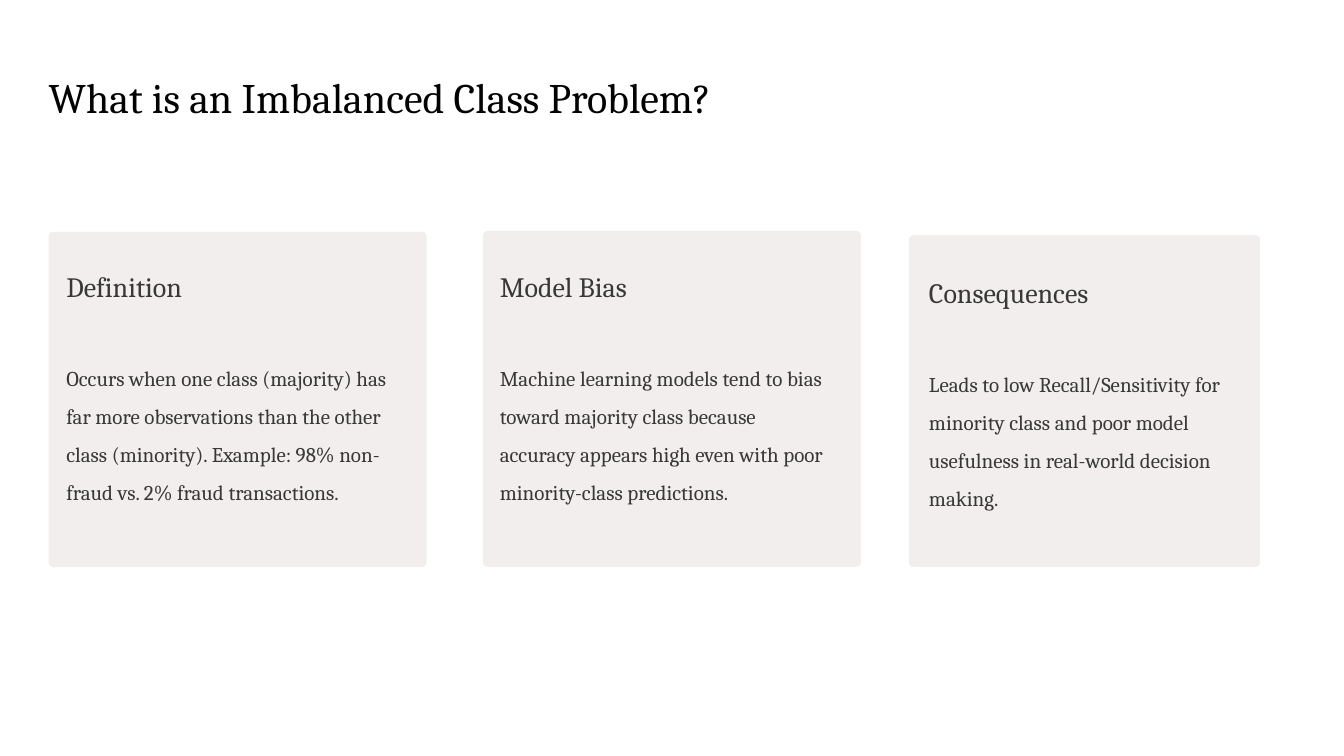
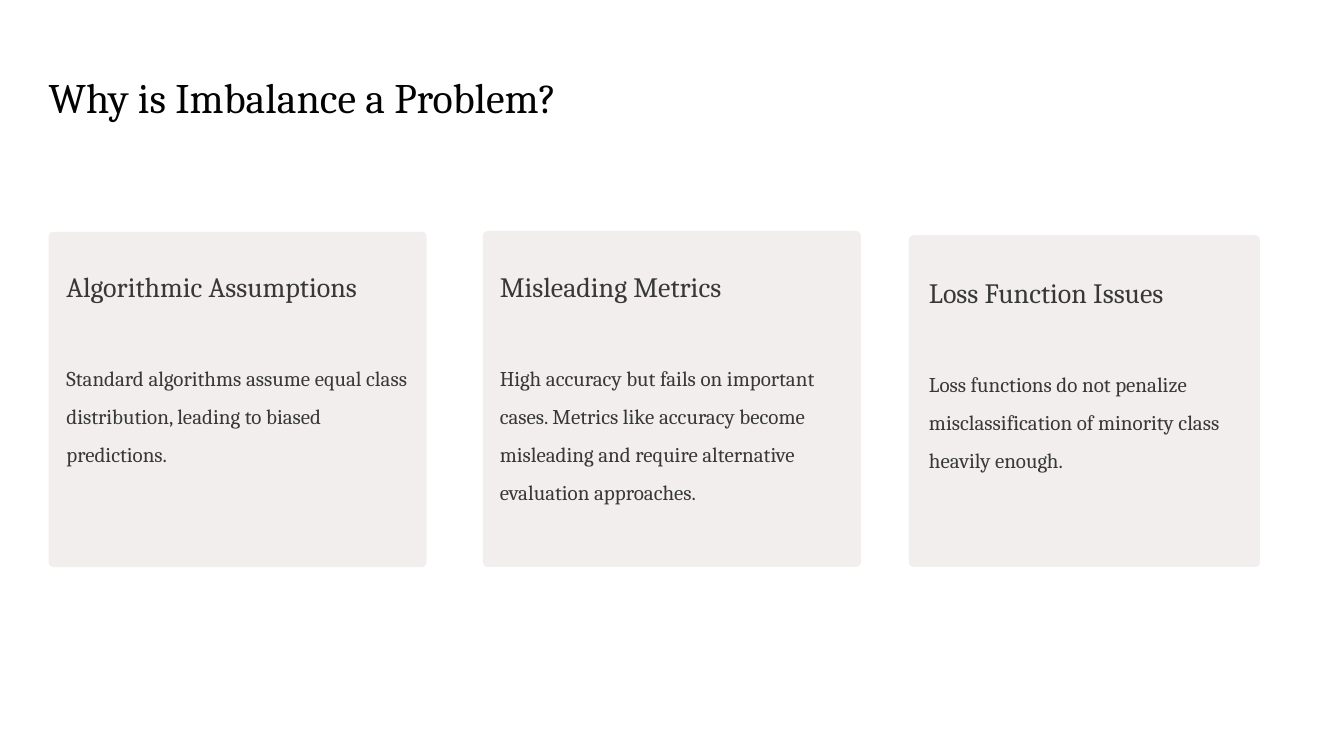
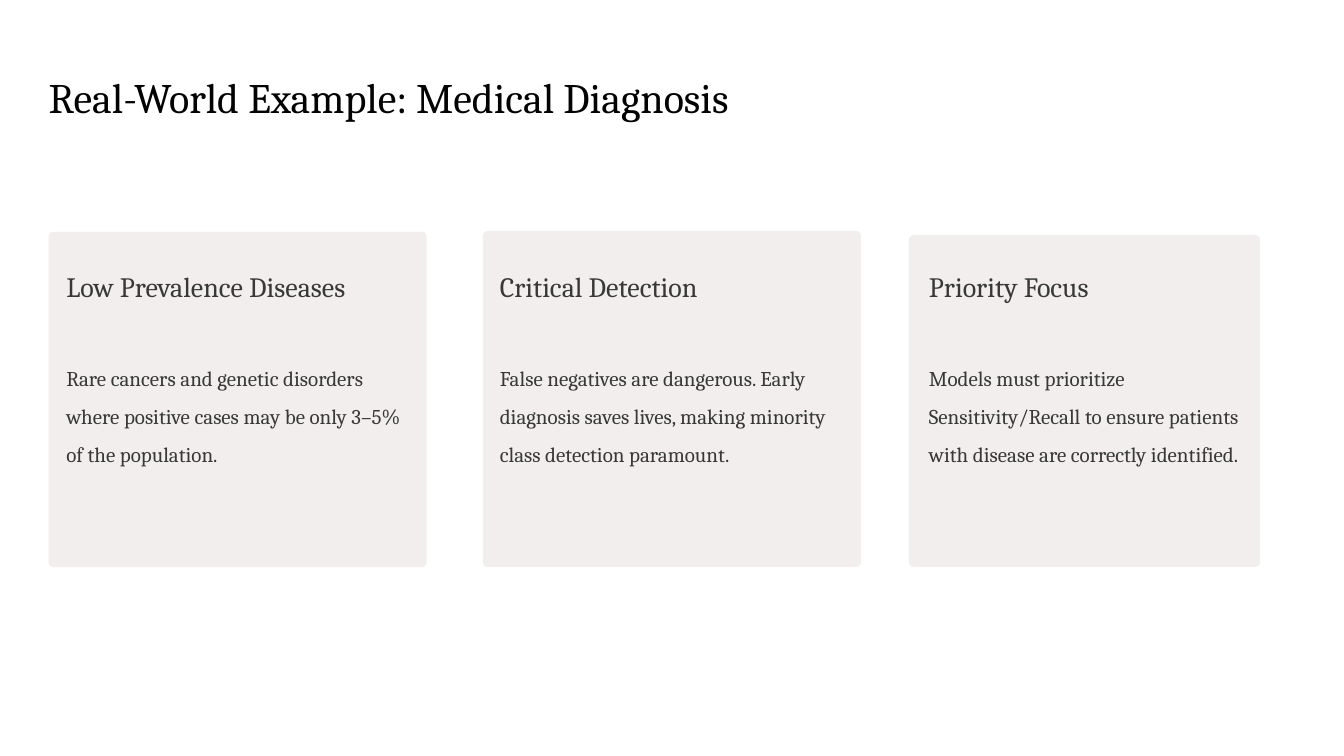
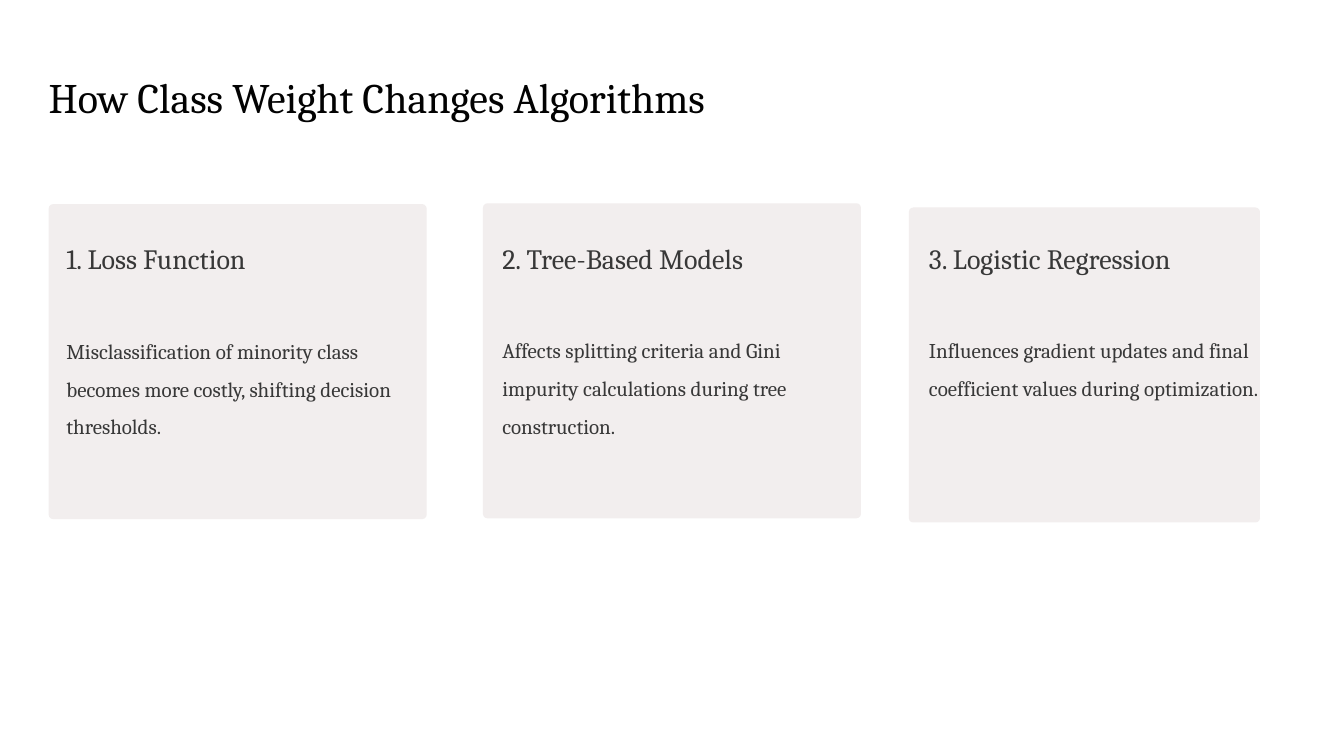
from dataclasses import dataclass

from pptx import Presentation
from pptx.dml.color import RGBColor
from pptx.enum import shapes, text
from pptx.util import Inches, Pt


@dataclass(frozen=True)
class Theme:
    font: str = "Cambria"
    title_color: RGBColor = RGBColor(0x02, 0x02, 0x02)
    text_color: RGBColor = RGBColor(0x38, 0x38, 0x38)
    card_fill: RGBColor = RGBColor(0xF2, 0xEE, 0xEE)
    title_size: int = 36
    heading_size: int = 24
    body_size: int = 18
    title_leading: int = 51
    card_leading: float = 1.5
    body_gap: int = 43
    corner: float = 0.014


@dataclass(frozen=True)
class Column:
    left: float
    top: float
    width: float
    text_left: float
    text_top: float
    text_width: float
    text_height: float


@dataclass(frozen=True)
class Card:
    heading: str
    body: str
    nudge_x: float = 0
    nudge_y: float = 0


@dataclass(frozen=True)
class Topic:
    title: str
    cards: tuple
    lift: float = 0
    card_height: float = 0  # 0 lets the cards reach CARD_BOTTOM


THEME = Theme()
CARD_BOTTOM = 6.75
COLUMNS = (
    Column(0.58, 2.76, 4.5, 0.79, 3.01, 4.06, 2.71),
    Column(5.75, 2.75, 4.5, 5.95, 3.01, 3.94, 5.32),
    Column(10.82, 2.8, 4.18, 11.06, 3.08, 3.94, 2.53),
)

TOPICS = (
    Topic("What is an Imbalanced Class Problem?", (
        Card("Definition",
             "Occurs when one class (majority) has far more observations than the other "
             "class (minority). Example: 98% non-fraud vs. 2% fraud transactions."),
        Card("Model Bias",
             "Machine learning models tend to bias toward majority class because accuracy "
             "appears high even with poor minority-class predictions."),
        Card("Consequences",
             "Leads to low Recall/Sensitivity for minority class and poor model usefulness "
             "in real-world decision making."),
    )),
    Topic("Why is Imbalance a Problem?", (
        Card("Algorithmic Assumptions",
             "Standard algorithms assume equal class distribution, leading to biased "
             "predictions."),
        Card("Misleading Metrics",
             "High accuracy but fails on important cases. Metrics like accuracy become "
             "misleading and require alternative evaluation approaches."),
        Card("Loss Function Issues",
             "Loss functions do not penalize misclassification of minority class heavily "
             "enough."),
    )),
    Topic("Real-World Example: Medical Diagnosis", (
        Card("Low Prevalence Diseases",
             "Rare cancers and genetic disorders where positive cases may be only 3–5% of "
             "the population."),
        Card("Critical Detection",
             "False negatives are dangerous. Early diagnosis saves lives, making minority "
             "class detection paramount."),
        Card("Priority Focus",
             "Models must prioritize Sensitivity/Recall to ensure patients with disease are "
             "correctly identified.", nudge_y=-0.07),
    )),
    Topic("How Class Weight Changes Algorithms", (
        Card("1. Loss Function",
             "Misclassification of minority class becomes more costly, shifting decision "
             "thresholds."),
        Card("2. Tree-Based Models",
             "Affects splitting criteria and Gini impurity calculations during tree "
             "construction.", nudge_x=0.03, nudge_y=-0.01),
        Card("3. Logistic Regression",
             "Influences gradient updates and final coefficient values during optimization.",
             nudge_y=-0.08),
    ), lift=0.33, card_height=3.75),
)


def add_text_frame(slide, left, top, width, height, inset_top=0):
    box = slide.shapes.add_textbox(*map(Inches, (left, top, width, height)))
    frame = box.text_frame
    frame.word_wrap = True
    frame.vertical_anchor = text.MSO_ANCHOR.TOP
    frame.margin_left = frame.margin_right = frame.margin_bottom = 0
    frame.margin_top = Inches(inset_top)
    return frame


def write(paragraph, wording, size, color, leading):
    paragraph.line_spacing = leading
    run = paragraph.add_run()
    run.text = wording
    run.font.name = THEME.font
    run.font.size = Pt(size)
    run.font.color.rgb = color


def add_title(slide, title):
    frame = add_text_frame(slide, 0.58, 0.26, 14.93, 1.15, inset_top=0.48)
    write(frame.paragraphs[0], title, THEME.title_size, THEME.title_color,
          Pt(THEME.title_leading))


def add_card(slide, card, column, topic):
    height = topic.card_height or CARD_BOTTOM - column.top
    panel = slide.shapes.add_shape(
        shapes.MSO_SHAPE.ROUNDED_RECTANGLE,
        *map(Inches, (column.left, column.top - topic.lift, column.width, height)))
    panel.adjustments[0] = THEME.corner
    panel.shadow.inherit = False
    panel.fill.solid()
    panel.fill.fore_color.rgb = THEME.card_fill
    panel.line.fill.background()

    frame = add_text_frame(slide, column.text_left + card.nudge_x,
                           column.text_top - topic.lift + card.nudge_y,
                           column.text_width, column.text_height)
    write(frame.paragraphs[0], card.heading, THEME.heading_size, THEME.text_color,
          THEME.card_leading)
    body = frame.add_paragraph()
    body.space_before = Pt(THEME.body_gap)
    write(body, card.body, THEME.body_size, THEME.text_color, THEME.card_leading)


def main():
    deck = Presentation()
    deck.slide_width, deck.slide_height = Inches(16), Inches(9)
    blank = deck.slide_layouts[6]
    for topic in TOPICS:
        slide = deck.slides.add_slide(blank)
        add_title(slide, topic.title)
        for card, column in zip(topic.cards, COLUMNS):
            add_card(slide, card, column, topic)
    deck.save("out.pptx")


if __name__ == "__main__":
    main()
